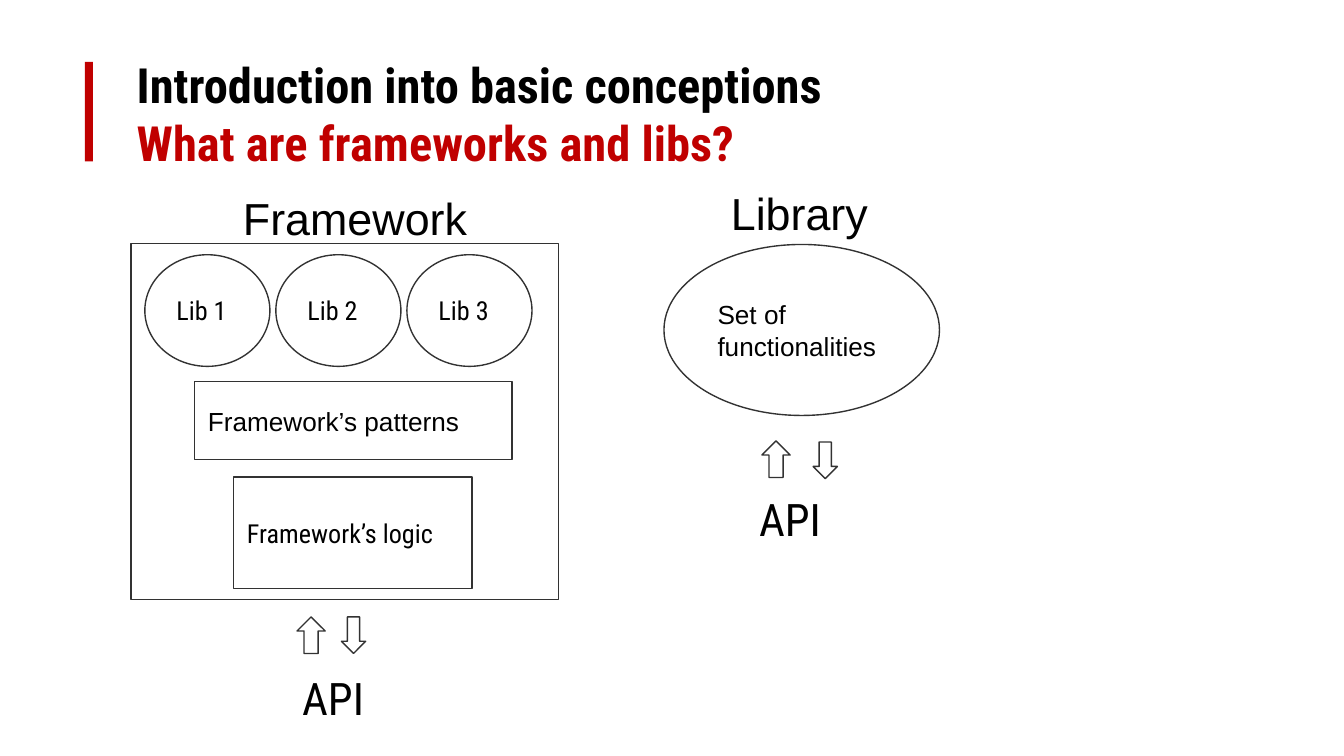
from pptx import Presentation
from pptx.dml.color import RGBColor
from pptx.enum.shapes import MSO_SHAPE as Preset
from pptx.enum.text import MSO_ANCHOR as Anchor, PP_ALIGN as Align
from pptx.util import Pt

BLACK = RGBColor(0x00, 0x00, 0x00)
WHITE = RGBColor(0xFF, 0xFF, 0xFF)
RED = RGBColor(0xC0, 0x00, 0x00)
OUTLINE = RGBColor(0x32, 0x32, 0x32)
CONDENSED = "Roboto Condensed"
ARIAL = "Arial"


class SlideBuilder:
    inset = 7.2
    outline_width = 0.75
    label_size = 14
    heading_size = 24
    title_size = 26

    def __init__(self, slide):
        self.slide = slide

    def set_text(self, shape, lines, size, font, anchor, bold=False):
        """Fill a shape with one paragraph per (text, colour) pair."""
        frame = shape.text_frame
        frame_format = {"word_wrap": True, "vertical_anchor": anchor}
        for side in ("left", "top", "right", "bottom"):
            frame_format[f"margin_{side}"] = Pt(self.inset)
        for name, value in frame_format.items():
            setattr(frame, name, value)
        font_format = {"name": font, "size": Pt(size), "bold": bold}
        for index, (text, colour) in enumerate(lines):
            paragraph = frame.add_paragraph() if index else frame.paragraphs[0]
            paragraph.alignment = Align.LEFT
            run = paragraph.add_run()
            run.text = text
            for name, value in font_format.items():
                setattr(run.font, name, value)
            run.font.color.rgb = colour

    def shape(self, preset, box, text=None, font=CONDENSED):
        shape = self.slide.shapes.add_shape(preset, *map(Pt, box))
        shape.shadow.inherit = False
        shape.fill.solid()
        shape.fill.fore_color.rgb = WHITE
        shape.line.color.rgb = OUTLINE
        shape.line.width = Pt(self.outline_width)
        if text:
            self.set_text(shape, [(text, BLACK)], self.label_size, font, Anchor.MIDDLE)
        return shape

    def accent_bar(self, box):
        bar = self.shape(Preset.RECTANGLE, box)
        bar.fill.fore_color.rgb = RED
        bar.line.fill.background()

    def title(self, box, lines):
        text_box = self.slide.shapes.add_textbox(*map(Pt, box))
        self.set_text(text_box, lines, self.title_size, CONDENSED, Anchor.TOP, bold=True)

    def heading(self, box, text, font=ARIAL):
        text_box = self.slide.shapes.add_textbox(*map(Pt, box))
        self.set_text(text_box, [(text, BLACK)], self.heading_size, font, Anchor.TOP)

    def api(self, up, down, label):
        """Draw an up and a down arrow above an API label, each given by its corner."""
        self.shape(Preset.UP_ARROW, (*up, 15.1, 19.6))
        self.shape(Preset.DOWN_ARROW, (*down, 13, 19.6))
        self.heading((*label, 100.8, 41.8), "API", CONDENSED)


def main():
    presentation = Presentation()
    presentation.slide_width = Pt(720)
    presentation.slide_height = Pt(405)
    builder = SlideBuilder(presentation.slides.add_slide(presentation.slide_layouts[6]))

    builder.accent_bar((45.5, 33.2, 4.3, 53.3))
    builder.title((66.2, 22.3, 548, 67.7), [
        ("Introduction into basic conceptions", BLACK),
        ("What are frameworks and libs?", RED),
    ])

    builder.heading((123.1, 95, 306.7, 36), "Framework")
    builder.shape(Preset.RECTANGLE, (70.2, 130.4, 229, 190.8))
    for index in range(3):
        box = (77.6 + 70.2 * index, 136.5, 67, 59.8)
        builder.shape(Preset.OVAL, box, f"Lib {index + 1}")
    builder.shape(Preset.RECTANGLE, (104.3, 204.5, 170, 41.8), "Framework’s patterns", ARIAL)
    builder.shape(Preset.RECTANGLE, (125.2, 255.6, 127.6, 59.8), "Framework’s logic")
    builder.api(up=(159.1, 330.5), down=(182.9, 330.5), label=(154.8, 352))

    builder.heading((384.5, 92.2, 126.7, 41.8), "Library")
    builder.shape(Preset.OVAL, (355.7, 131, 147.6, 91.6), "Set of functionalities", ARIAL)
    builder.api(up=(408.2, 236.2), down=(435.6, 236.8), label=(399.6, 256.3))

    presentation.save("out.pptx")


if __name__ == "__main__":
    main()
